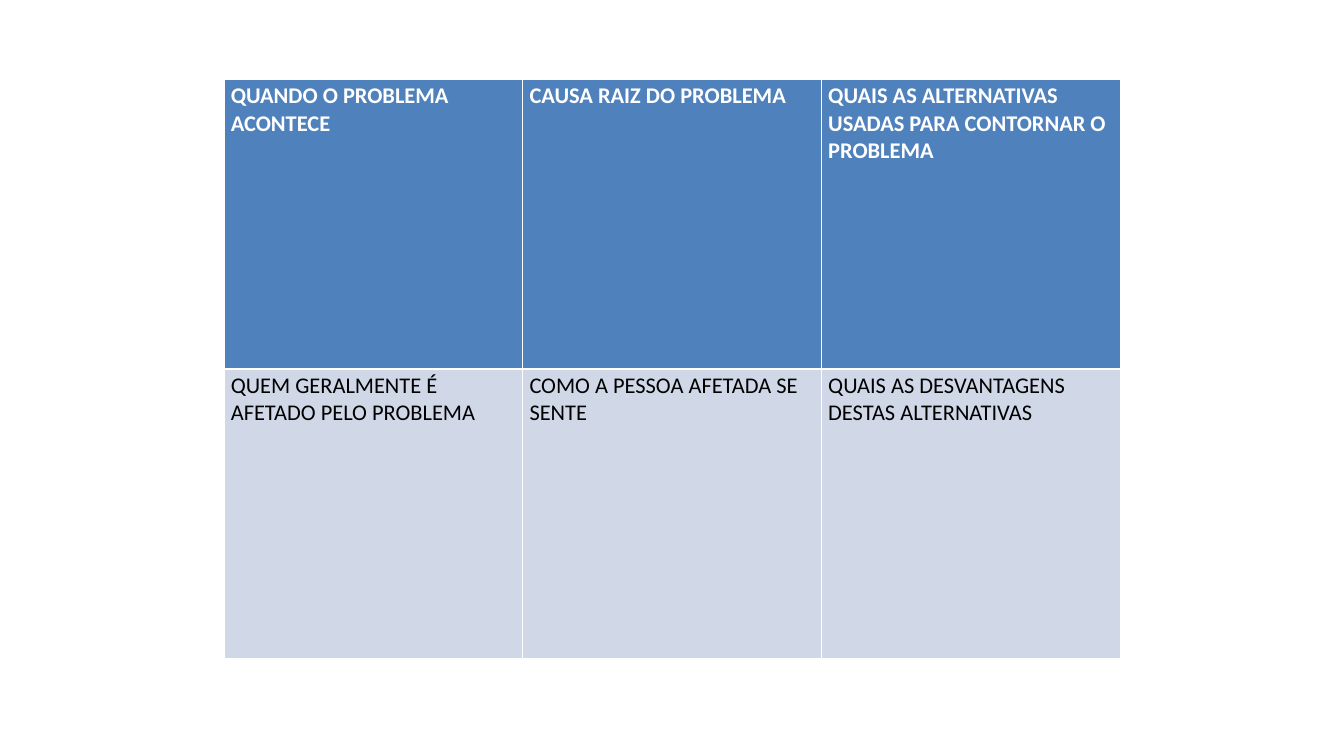
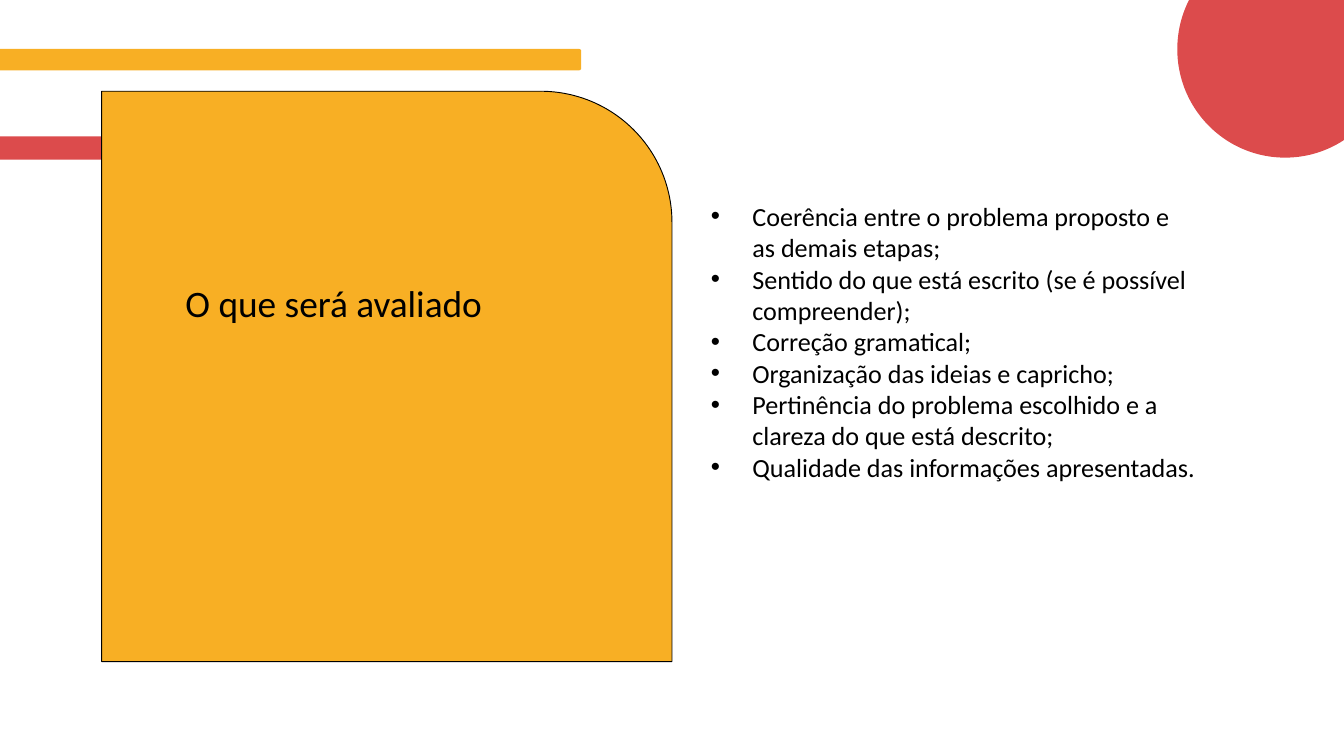
from lxml.etree import SubElement
from pptx import Presentation
from pptx.dml.color import RGBColor
from pptx.enum.shapes import MSO_SHAPE
from pptx.enum.text import MSO_AUTO_SIZE
from pptx.oxml.ns import qn
from pptx.util import Cm, Pt

WHITE, BLACK = "FFFFFF", "000000"
BLUE, PALE_BLUE = "4F81BD", "D0D8E8"
AMBER, RED = "F8AF24", "DC4B4C"


def colour(value):
    """Turn a hex string into a colour."""
    return RGBColor.from_string(value)


class Deck:
    """Holds the style and the slide being built."""

    font = "Calibri"

    def __init__(self, width, height):
        """Start an empty presentation of the given size."""
        self.prs = Presentation()
        self.prs.slide_width, self.prs.slide_height = Cm(width), Cm(height)
        self.slide = None

    def new_slide(self):
        """Add a blank white slide and make it current."""
        self.slide = self.prs.slides.add_slide(self.prs.slide_layouts[6])
        self.slide.background.fill.solid()
        self.slide.background.fill.fore_color.rgb = colour(WHITE)

    def styled_run(self, paragraph, text, size, ink=BLACK, bold=False):
        """Add one run in the deck's font."""
        run = paragraph.add_run()
        run.text = text
        run.font.name, run.font.size, run.font.bold = self.font, Pt(size), bold
        run.font.color.rgb = colour(ink)

    def shape(self, preset, place, fill, outline=None, rounding=None):
        """Draw a filled preset shape, outlined on request."""
        figure = self.slide.shapes.add_shape(preset, *map(Cm, place))
        figure.shadow.inherit = False
        figure.fill.solid()
        figure.fill.fore_color.rgb = colour(fill)
        if outline:
            figure.line.color.rgb = colour(outline)
            figure.line.width = Pt(1)
        else:
            figure.line.fill.background()
        if rounding is not None:
            figure.adjustments[0] = rounding

    def text(self, place, lines, size, spacing=None, bullet_indent=None):
        """Add a text box without margins, bulleted on request."""
        box = self.slide.shapes.add_textbox(*map(Cm, place))
        frame = box.text_frame
        frame.word_wrap = True
        frame.auto_size = MSO_AUTO_SIZE.SHAPE_TO_FIT_TEXT
        frame.margin_left = frame.margin_right = 0
        frame.margin_top = frame.margin_bottom = 0
        for index, line in enumerate(lines):
            paragraph = frame.add_paragraph() if index else frame.paragraphs[0]
            if spacing:
                paragraph.line_spacing = Pt(spacing)
            if bullet_indent:
                self.bullet(paragraph, Cm(bullet_indent))
            self.styled_run(paragraph, line, size)

    def bullet(self, paragraph, indent):
        """Give a paragraph a hanging bullet."""
        properties = paragraph._p.get_or_add_pPr()
        properties.set("marL", str(indent))
        properties.set("indent", str(-indent))
        SubElement(properties, qn("a:buFont"), typeface="Arial")
        SubElement(properties, qn("a:buChar"), char="•")

    def borders(self, cell, **widths):
        """Draw white cell borders, with widths in points by side."""
        properties = cell._tc.get_or_add_tcPr()
        for side in "LRTB":
            line = SubElement(properties, qn(f"a:ln{side}"), w=str(Pt(widths.get(side, 1))))
            SubElement(SubElement(line, qn("a:solidFill")), qn("a:srgbClr"), val=WHITE)

    def table(self, place, rows, size):
        """Add an even table with a blue header row."""
        grid = self.slide.shapes.add_table(len(rows), len(rows[0]), *map(Cm, place)).table
        grid.horz_banding = False
        for r, texts in enumerate(rows):
            header = r == 0
            for c, text in enumerate(texts):
                cell = grid.cell(r, c)
                self.borders(cell, **({"B": 3} if header else {"T": 3}))
                cell.fill.solid()
                cell.fill.fore_color.rgb = colour(BLUE if header else PALE_BLUE)
                self.styled_run(cell.text_frame.paragraphs[0], text, size,
                                WHITE if header else BLACK, header)


def problem_slide(deck):
    """Build the grid of questions about the problem."""
    deck.new_slide()
    deck.table((8.47, 3, 33.87, 21.88), [
        ["QUANDO O PROBLEMA ACONTECE", "CAUSA RAIZ DO PROBLEMA",
         "QUAIS AS ALTERNATIVAS USADAS PARA CONTORNAR O PROBLEMA"],
        ["QUEM GERALMENTE É AFETADO PELO PROBLEMA", "COMO A PESSOA AFETADA SE SENTE",
         "QUAIS AS DESVANTAGENS DESTAS ALTERNATIVAS"],
    ], 24)


def criteria_slide(deck):
    """Build the list of assessment criteria."""
    deck.new_slide()
    deck.shape(MSO_SHAPE.ROUNDED_RECTANGLE, (-6.63, 1.85, 28.6, 0.81), AMBER, rounding=0.1)
    deck.shape(MSO_SHAPE.ROUNDED_RECTANGLE, (-3.76, 5.16, 27.91, 0.88), RED, rounding=0.1)
    deck.shape(MSO_SHAPE.ROUND_1_RECTANGLE, (3.84, 3.45, 21.56, 21.56), AMBER, BLACK, 0.23)
    deck.shape(MSO_SHAPE.OVAL, (44.5, -2.24, 8.15, 8.2), RED)
    deck.text((7.01, 7.57, 15.21, 3.99), ["O que será avaliado"], 40, spacing=134.2)
    deck.text((26.87, 7.57, 18.36, 14.2), [
        "Coerência entre o problema proposto e as demais etapas;",
        "Sentido do que está escrito (se é possível compreender);",
        "Correção gramatical;",
        "Organização das ideias e capricho;",
        "Pertinência do problema escolhido e a clareza do que está descrito;",
        "Qualidade das informações apresentadas.",
    ], 28, bullet_indent=1.57)


def main():
    """Build and save the presentation."""
    deck = Deck(50.8, 28.58)
    problem_slide(deck)
    criteria_slide(deck)
    deck.prs.save("out.pptx")


if __name__ == "__main__":
    main()
